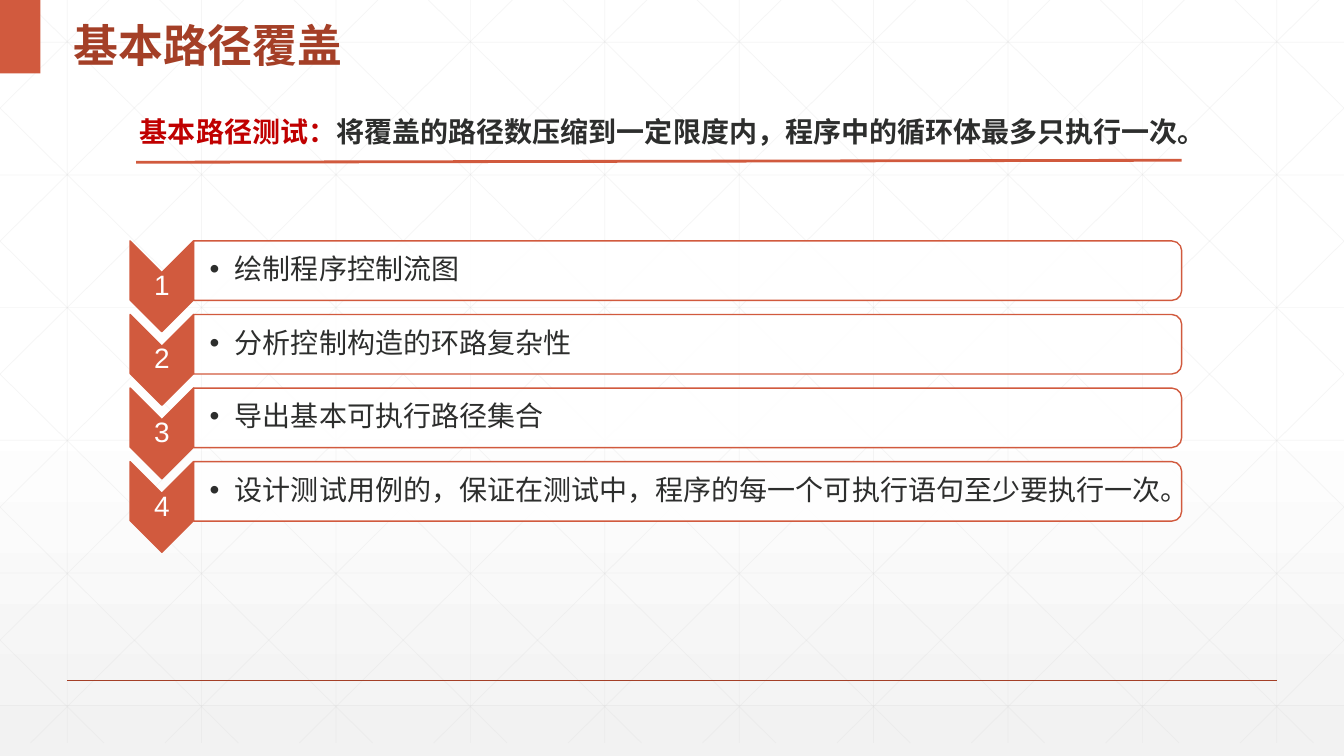
import pptx
import pptx.dml.color
import pptx.enum.shapes
import pptx.enum.text
import pptx.oxml.ns
import pptx.util
from lxml import etree

RGBColor = pptx.dml.color.RGBColor
SHAPE = pptx.enum.shapes.MSO_SHAPE
ALIGN = pptx.enum.text.PP_ALIGN
ANCHOR = pptx.enum.text.MSO_ANCHOR
Inches = pptx.util.Inches
Pt = pptx.util.Pt
qn = pptx.oxml.ns.qn

WHITE = RGBColor(0xFF, 0xFF, 0xFF)
PALE = RGBColor(0xF2, 0xF2, 0xF2)
GRID = RGBColor(0xD9, 0xD9, 0xD9)
ORANGE = RGBColor(0xD1, 0x5A, 0x3E)
RUST = RGBColor(0xA4, 0x3F, 0x27)
RED = RGBColor(0xC0, 0x00, 0x00)
INK = RGBColor(0x2D, 0x2E, 0x2D)

CJK = "Noto Sans CJK SC"
LATIN = "Arial"
WIDTH, HEIGHT = 13.33, 7.5
COLUMN = WIDTH / 10
ROW = 1.316
STEPS = [
    "绘制程序控制流图",
    "分析控制构造的环路复杂性",
    "导出基本可执行路径集合",
    "设计测试用例的，保证在测试中，程序的每一个可执行语句至少要执行一次。",
]


def set_opacity(fill_owner, percent):
    color = next(fill_owner.iter(qn("a:srgbClr")))
    etree.SubElement(color, qn("a:alpha")).set("val", str(percent * 1000))


def add_line(shapes, start, end, color, weight, opacity=None):
    line = shapes.add_connector(
        pptx.enum.shapes.MSO_CONNECTOR.STRAIGHT,
        *[Inches(value) for value in (*start, *end)])
    line.line.color.rgb = color
    line.line.width = Pt(weight)
    properties = line._element.spPr
    if opacity:
        set_opacity(properties, opacity)
    etree.SubElement(properties, qn("a:effectLst"))


def add_block(shapes, kind, box, line_color=None, fill=ORANGE, rotation=0):
    left, top, width, height = box
    if rotation:
        left, top = left + (width - height) / 2, top + (height - width) / 2
        width, height = height, width
    block = shapes.add_shape(kind, *map(Inches, (left, top, width, height)))
    block.shadow.inherit = False
    block.rotation = rotation
    block.fill.solid()
    block.fill.fore_color.rgb = fill
    if line_color:
        block.line.color.rgb = line_color
        block.line.width = Pt(1)
    else:
        block.line.fill.background()
    return block


def add_text(shapes, box, runs, size, spacing, font=LATIN, bold=False,
             anchor=ANCHOR.TOP, insets=None, align=ALIGN.LEFT, bullet=False):
    frame = shapes.add_textbox(*map(Inches, box)).text_frame
    frame.word_wrap = True
    frame.vertical_anchor = anchor
    if insets:
        (frame.margin_left, frame.margin_top,
         frame.margin_right, frame.margin_bottom) = map(Inches, insets)
    paragraph = frame.paragraphs[0]
    paragraph.alignment = align
    paragraph.line_spacing = spacing
    if bullet:
        properties = paragraph._p.get_or_add_pPr()
        properties.set("marL", str(Inches(0.25)))
        properties.set("indent", str(-Inches(0.25)))
        etree.SubElement(properties, qn("a:buFont")).set("typeface", LATIN)
        etree.SubElement(properties, qn("a:buChar")).set("char", "•")
    for words, color in runs:
        run = paragraph.add_run()
        run.text = words
        run.font.size = Pt(size)
        run.font.bold = bold
        run.font.name = font
        run.font.color.rgb = color
        etree.SubElement(run._r.rPr, qn("a:ea")).set("typeface", CJK)


def draw_backdrop(slide, width, height):
    fill = slide.background.fill
    fill.gradient()
    fill.gradient_angle = 270
    for stop, position, color in zip(fill.gradient_stops, (0.53, 1), (WHITE, PALE)):
        stop.position = position
        stop.color.rgb = color

    lattice = slide.shapes.add_group_shape().shapes
    slope = 0.99
    segments = [((COLUMN * (i + 0.5), 0), (COLUMN * (i + 0.5), height)) for i in range(10)]
    segments += [((0, 0.42 + ROW * i), (width, 0.42 + ROW * i)) for i in range(6)]
    for i in range(-5, 10):
        origin = 0.25 + COLUMN * i
        x1 = max(origin, 0)
        x2 = min(origin + height / slope, width)
        y1, y2 = (x1 - origin) * slope, (x2 - origin) * slope
        segments += [((x1, y1), (x2, y2)), ((width - x1, y1), (width - x2, y2))]
    for start, end in segments:
        add_line(lattice, start, end, GRID, 0.5, opacity=25)
    add_line(slide.shapes, (COLUMN / 2, HEIGHT * 0.9),
             (width - COLUMN / 2, HEIGHT * 0.9), RUST, 1)


def draw_heading(slide, left, top, width, height):
    tab_width = 0.4
    add_block(slide.shapes, SHAPE.RECTANGLE, (left, top, tab_width, height))
    add_text(slide.shapes, (left + 0.63, top, width - 0.63, height),
             [("基本路径覆盖", RUST)], 32, 1.3, font=CJK, bold=True,
             anchor=ANCHOR.MIDDLE)


def draw_definition(slide, left, top, width, height):
    add_text(slide.shapes, (left, top, width, height),
             [("基本路径测试：", RED),
              ("将覆盖的路径数压缩到一定限度内，程序中的循环体最多只执行一次。", INK)],
             20, 1.2, bold=True)
    add_line(slide.shapes, (left + 0.06, top + height + 0.09),
             (left + width - 0.37, top + height + 0.07), ORANGE, 2)


def draw_steps(slide, left, top, width, pitch):
    shapes = slide.shapes.add_group_shape().shapes
    arrow_width, arrow_height, panel_height = 0.63, 0.9, 0.59
    panel_left, panel_width = left + arrow_width, width - arrow_width
    margin = 0.01
    for index, step in enumerate(STEPS):
        y = top + pitch * index
        add_block(shapes, SHAPE.CHEVRON, (left, y, arrow_width, arrow_height),
                  line_color=ORANGE, rotation=90)
        add_text(shapes, (left, y + arrow_width / 2, arrow_width, 0.27),
                 [(str(index + 1), WHITE)], 20, 0.9, anchor=ANCHOR.MIDDLE,
                 insets=[margin] * 4, align=ALIGN.CENTER)
        panel = add_block(shapes, SHAPE.ROUND_2_SAME_RECTANGLE,
                          (panel_left, y, panel_width, panel_height),
                          line_color=ORANGE, fill=WHITE, rotation=90)
        set_opacity(panel._element.spPr, 90)
        add_text(shapes, (panel_left, y + 0.03, panel_width - 0.03, panel_height - 0.06),
                 [(step, INK)], 20, 0.9, anchor=ANCHOR.MIDDLE,
                 insets=(0.16, margin, margin, margin), bullet=True)


def main():
    deck = pptx.Presentation()
    deck.slide_width = Inches(WIDTH)
    deck.slide_height = Inches(HEIGHT)
    slide = deck.slides.add_slide(deck.slide_layouts[6])
    draw_backdrop(slide, WIDTH, 7.37)
    draw_heading(slide, 0, 0, 6.32, 0.73)
    draw_definition(slide, 1.29, 1.02, 10.8, 0.5)
    draw_steps(slide, 1.29, 2.39, 10.43, 0.73)
    deck.save("out.pptx")


if __name__ == "__main__":
    main()
